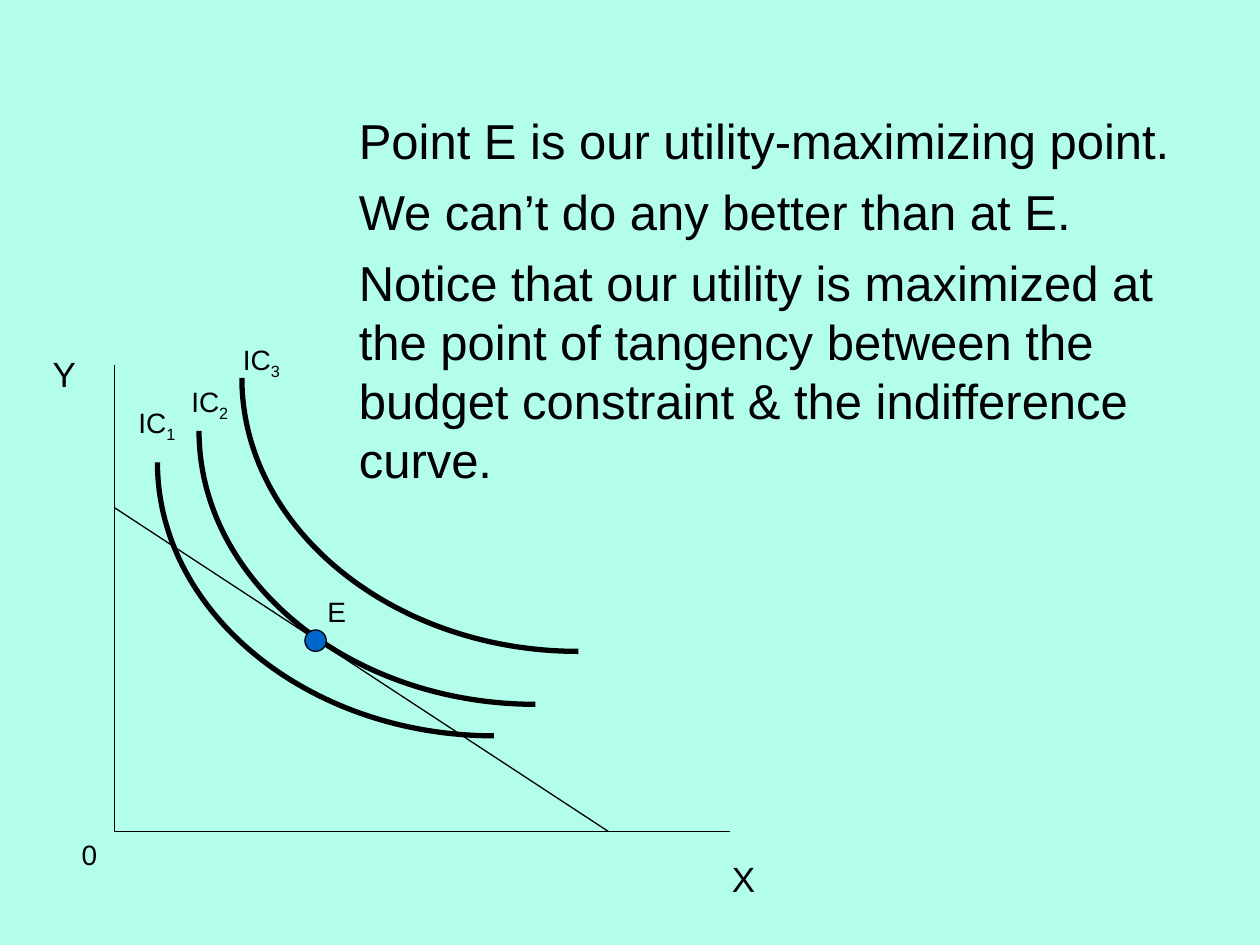
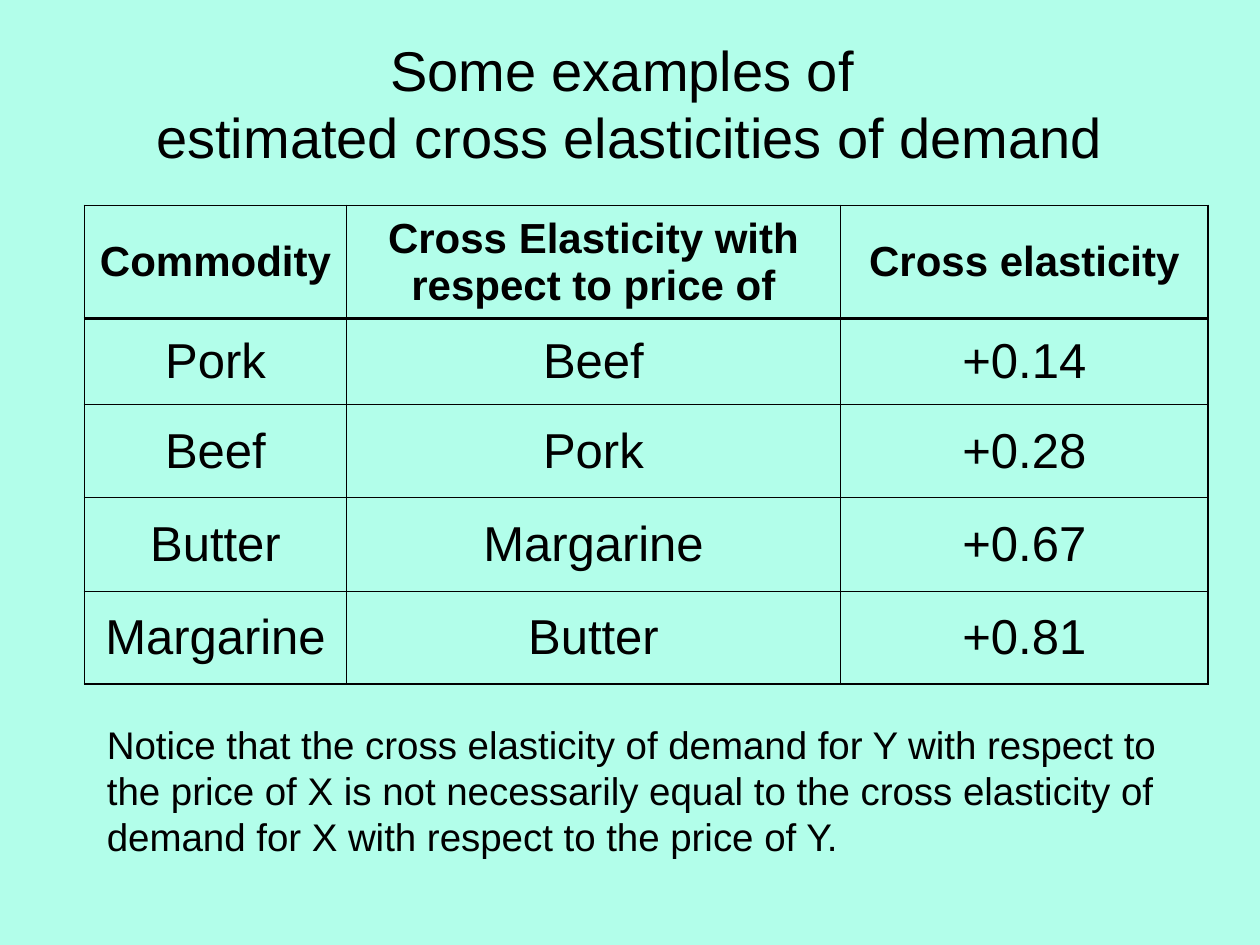
from dataclasses import dataclass

from lxml import etree
from pptx import Presentation
from pptx.dml.color import RGBColor
from pptx.enum.shapes import MSO_CONNECTOR, MSO_SHAPE
from pptx.enum.text import MSO_ANCHOR, PP_ALIGN
from pptx.oxml.ns import qn
from pptx.util import Inches, Pt

STRAIGHT = MSO_CONNECTOR.STRAIGHT
OVAL = MSO_SHAPE.OVAL
MIDDLE = MSO_ANCHOR.MIDDLE
LEFT, CENTER = PP_ALIGN.LEFT, PP_ALIGN.CENTER
TITLE_ONLY, BLANK = 5, 6


@dataclass(frozen=True)
class Theme:
    """Colours, font, type sizes and line widths shared by the slides."""
    background: RGBColor = RGBColor(0xB2, 0xFE, 0xEA)
    ink: RGBColor = RGBColor(0x00, 0x00, 0x00)
    point: RGBColor = RGBColor(0x00, 0x66, 0xCC)
    font: str = "Arial"
    title: int = 32
    body: int = 28
    header: int = 24
    note: int = 22
    axis: int = 20
    label: int = 16
    thin: float = 0.75
    thick: float = 3
    grid: float = 0.45
    frame: float = 1.08
    header_rule: float = 2.21


THEME = Theme()

STATEMENTS = (
    "Point E is our utility-maximizing point.",
    "We can’t do any better than at E.",
    "Notice that our utility is maximized at the point of tangency between "
    "the budget constraint & the indifference curve.",
)
ORIGIN = (0.91, 6.6)
CURVE_WIDTH, CURVE_HEIGHT = 2.67, 2.17
ROUNDNESS = 0.55
CURVES = (
    ("1", (1.25, 3.67), (1, 3.17)),
    ("2", (1.58, 3.42), (1.42, 3)),
    ("3", (1.92, 3), (1.83, 2.67)),
)
ELASTICITIES = (
    ("Commodity", "Cross Elasticity with respect to price of", "Cross elasticity"),
    ("Pork", "Beef", "+0.14"),
    ("Beef", "Pork", "+0.28"),
    ("Butter", "Margarine", "+0.67"),
    ("Margarine", "Butter", "+0.81"),
)
COLUMN_WIDTHS = (2.08, 3.92, 2.92)
ROW_HEIGHTS = (0.9, 0.68, 0.74, 0.74, 0.74)
NOTE = (
    "Notice that the cross elasticity of demand for Y with respect to the price "
    "of X is not necessarily equal to the cross elasticity of demand for X with "
    "respect to the price of Y."
)


def style_text(frame, size, align=LEFT, bold=False):
    """Format every paragraph and run of a text frame."""
    frame.word_wrap = True
    for paragraph in frame.paragraphs:
        paragraph.alignment = align
        for run in paragraph.runs:
            run.font.name = THEME.font
            run.font.size = Pt(size)
            run.font.bold = bold
            run.font.color.rgb = THEME.ink


def add_text(slide, text, box, size):
    """Add a text box and return its frame."""
    frame = slide.shapes.add_textbox(*map(Inches, box)).text_frame
    frame.text = text
    style_text(frame, size)
    return frame


def add_title(slide, text, box):
    """Place and format the title placeholder."""
    title = slide.shapes.title
    title.left, title.top, title.width, title.height = map(Inches, box)
    title.text_frame.text = text
    title.text_frame.vertical_anchor = MIDDLE
    style_text(title.text_frame, THEME.title, CENTER)


def add_line(slide, start, end):
    """Draw a thin straight line between two points."""
    line = slide.shapes.add_connector(STRAIGHT, *map(Inches, (*start, *end)))
    line.line.color.rgb = THEME.ink
    line.line.width = Pt(THEME.thin)
    etree.SubElement(line._element.spPr, qn("a:effectLst"))


def add_indifference_curve(slide, left, top):
    """Draw a quarter ellipse as one Bézier segment, from bottom right to top left."""
    width, height = Inches(CURVE_WIDTH), Inches(CURVE_HEIGHT)
    x, y = Inches(left), Inches(top)
    builder = slide.shapes.build_freeform(x + width, y + height)
    builder.add_line_segments([(x, y)], close=False)
    curve = builder.convert_to_shape()
    segment = next(curve._element.iter(qn("a:lnTo")))
    bezier = etree.Element(qn("a:cubicBezTo"))
    controls = ((width * (1 - ROUNDNESS), height), (0, height * ROUNDNESS), (0, 0))
    for control_x, control_y in controls:
        etree.SubElement(bezier, qn("a:pt"), x=str(int(control_x)), y=str(int(control_y)))
    segment.getparent().replace(segment, bezier)
    curve.shadow.inherit = False
    curve.fill.background()
    curve.line.color.rgb = THEME.ink
    curve.line.width = Pt(THEME.thick)


def add_curve_label(slide, number, left, top):
    """Label an indifference curve with a subscript number."""
    frame = add_text(slide, "IC", (left, top, 0.67, 0.41), THEME.label)
    subscript = frame.paragraphs[0].add_run()
    subscript.text = number
    style_text(frame, THEME.label)
    subscript._r.get_or_add_rPr().set("baseline", "-25000")


def add_point(slide, left, top, diameter):
    """Draw the dot that marks the optimum."""
    dot = slide.shapes.add_shape(OVAL, *map(Inches, (left, top, diameter, diameter)))
    dot.shadow.inherit = False
    dot.fill.solid()
    dot.fill.fore_color.rgb = THEME.point
    dot.line.color.rgb = THEME.ink
    dot.line.width = Pt(THEME.thin)


def set_borders(cell, widths):
    """Give a cell solid left, right, top and bottom borders."""
    properties = cell._tc.get_or_add_tcPr()
    for side, width in zip("LRTB", widths):
        border = etree.SubElement(properties, qn(f"a:ln{side}"), w=str(Pt(width)))
        fill = etree.SubElement(border, qn("a:solidFill"))
        etree.SubElement(fill, qn("a:srgbClr"), val=str(THEME.ink))


def add_elasticity_table(slide, left, top):
    """Add the ruled table of cross elasticities."""
    last_row, last_column = len(ROW_HEIGHTS) - 1, len(COLUMN_WIDTHS) - 1
    size = (sum(COLUMN_WIDTHS), sum(ROW_HEIGHTS))
    table = slide.shapes.add_table(
        last_row + 1, last_column + 1, *map(Inches, (left, top, *size))).table
    table.first_row = table.horz_banding = False
    for column, width in zip(table.columns, COLUMN_WIDTHS):
        column.width = Inches(width)
    for row, height in zip(table.rows, ROW_HEIGHTS):
        row.height = Inches(height)
    rules = [THEME.frame, THEME.header_rule] + [THEME.grid] * (last_row - 1) + [THEME.frame]
    for r, values in enumerate(ELASTICITIES):
        for c, value in enumerate(values):
            cell = table.cell(r, c)
            cell.text = value
            cell.vertical_anchor = MIDDLE
            style_text(cell.text_frame, THEME.body if r else THEME.header,
                       CENTER, bold=r == 0)
            set_borders(cell, (
                THEME.grid if c else THEME.frame,
                THEME.frame if c == last_column else THEME.grid,
                rules[r],
                rules[r + 1],
            ))
            cell.fill.background()


def build_utility_slide(prs):
    """Show the budget line, the indifference curves and the optimum."""
    slide = prs.slides.add_slide(prs.slide_layouts[BLANK])
    statements = add_text(slide, "\n".join(STATEMENTS), (2.75, 0.83, 7, 3.25), THEME.body)
    for paragraph in statements.paragraphs[1:]:
        paragraph.space_before = Pt(7)
    x0, y0 = ORIGIN
    add_line(slide, (x0, 2.9), ORIGIN)
    add_line(slide, ORIGIN, (5.79, y0))
    add_text(slide, "X", (5.71, 6.76, 0.37, 0.44), THEME.axis)
    add_text(slide, "Y", (0.32, 2.75, 0.37, 0.44), THEME.axis)
    add_line(slide, (x0, 4.03), (4.83, y0))
    add_text(slide, "0", (0.55, y0, 0.37, 0.37), THEME.label)
    for number, curve_corner, label_corner in CURVES:
        add_indifference_curve(slide, *curve_corner)
        add_curve_label(slide, number, *label_corner)
    add_point(slide, 2.42, 5, 0.17)
    add_text(slide, "E", (2.5, 4.67, 0.42, 0.37), THEME.label)


def build_elasticity_slide(prs):
    """Show the estimated cross elasticities with a note."""
    slide = prs.slides.add_slide(prs.slide_layouts[TITLE_ONLY])
    add_title(slide, "Some examples of \vestimated cross elasticities of demand",
              (0.5, 0.3, 9, 1.03))
    add_elasticity_table(slide, 0.67, 1.63)
    add_text(slide, NOTE, (0.75, 5.67, 8.75, 1.2), THEME.note)


def main():
    """Build and save the presentation."""
    prs = Presentation()
    prs.slide_width, prs.slide_height = Inches(10), Inches(7.5)
    backdrop = prs.slide_master.background.fill
    backdrop.solid()
    backdrop.fore_color.rgb = THEME.background
    build_utility_slide(prs)
    build_elasticity_slide(prs)
    prs.save("out.pptx")


if __name__ == "__main__":
    main()
